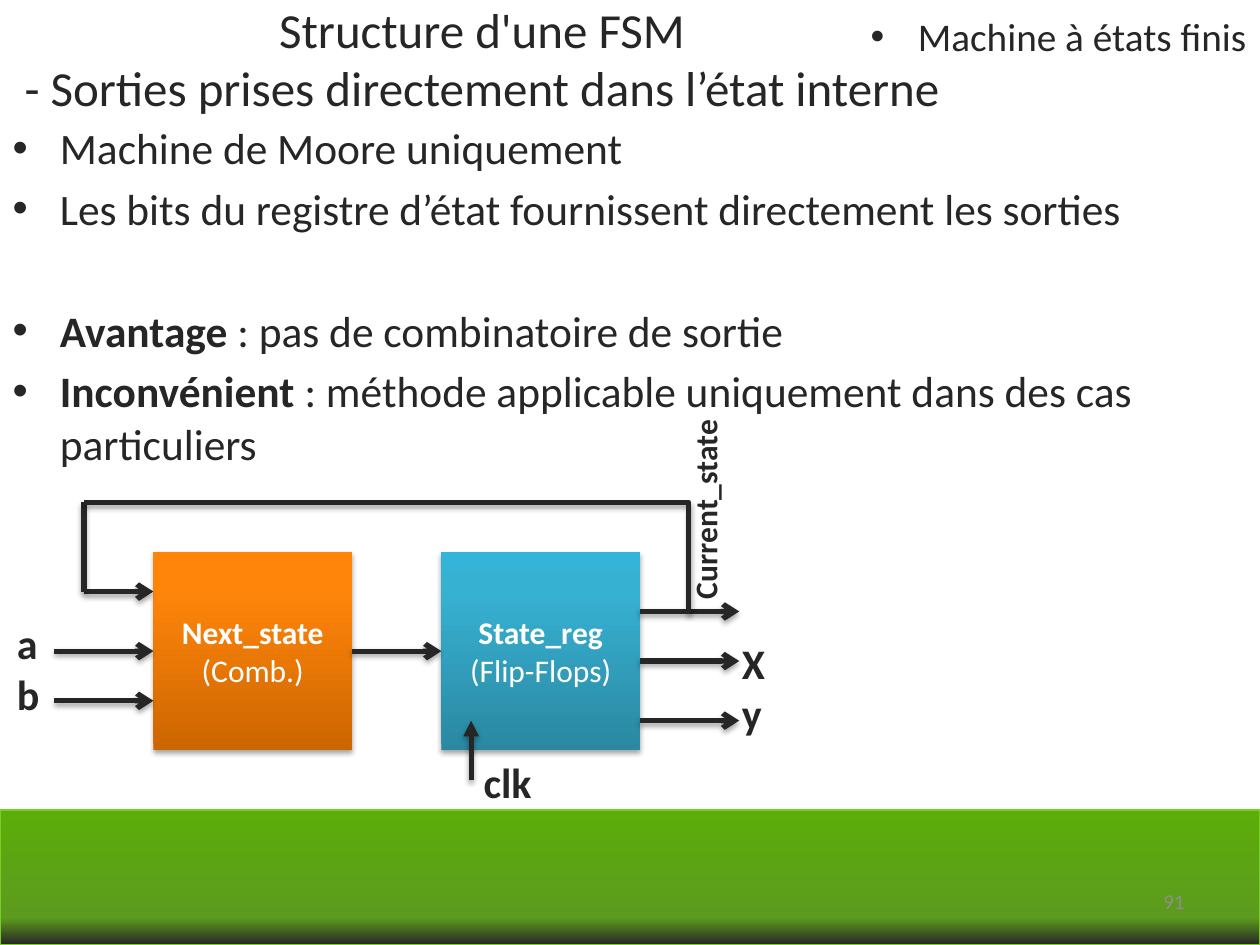
"""Builds a slide on the structure of a Moore finite state machine."""
from copy import deepcopy

from pptx import Presentation
from pptx.dml.color import RGBColor
from pptx.enum.shapes import MSO_CONNECTOR, MSO_SHAPE
from pptx.enum.text import MSO_ANCHOR, MSO_AUTO_SIZE, PP_ALIGN
from pptx.oxml import parse_xml
from pptx.oxml.ns import nsdecls, qn
from pptx.util import Inches, Pt

RECTANGLE = MSO_SHAPE.RECTANGLE
STRAIGHT, ELBOW = MSO_CONNECTOR.STRAIGHT, MSO_CONNECTOR.ELBOW
TOP, MIDDLE = MSO_ANCHOR.TOP, MSO_ANCHOR.MIDDLE
LEFT, CENTER, RIGHT = PP_ALIGN.LEFT, PP_ALIGN.CENTER, PP_ALIGN.RIGHT
NO_FIT = MSO_AUTO_SIZE.NONE

FONT = "Calibri"
COLORS = {"ink": "262626", "number": "8E8E8E", "white": "FFFFFF",
          "footer_line": "78CF22", "shadow": "000000"}
GRADIENTS = {
    "footer": (90, ["5CAD0A", "5C9B1D", "262626"]),
    "register": (270, ["2A88A2", "37B1D2", "34B4D6"]),
    "logic": (270, ["CC6600", "FF850A", "FF850C"]),
}
STOPS = (0, 80, 100)

WIDTH, HEIGHT = 10, 7.5
UNIT, GRID_LEFT, GRID_TOP = 0.394, 0.43, 4.38
LOGIC_COL, REGISTER_COL, BLOCK_SIZE = 2, 7.8, 4
OUTPUT_COL = REGISTER_COL + BLOCK_SIZE
ARROW_LENGTH = 2
FEEDBACK_LEFT, FEEDBACK_RIGHT, FEEDBACK_ROW = 0.6, 12.8, -1

ADVICE = [
    [("Machine de Moore uniquement", False)],
    [("Les bits du registre d’état fournissent directement les sorties", False)],
    [("Avantage", True), (" : pas de combinatoire de sortie", False)],
    [("Inconvénient", True),
     (" : méthode applicable uniquement dans des cas particuliers", False)],
]


def grid_point(col, row):
    """Turns a grid column and row into a position on the slide."""
    return Inches(GRID_LEFT + col * UNIT), Inches(GRID_TOP + row * UNIT)


def grid_box(col, row, cols, rows):
    """Turns a grid cell range into left, top, width and height."""
    return (*grid_point(col, row), Inches(cols * UNIT), Inches(rows * UNIT))


def inch_box(*lengths):
    """Converts lengths in inches."""
    return [Inches(length) for length in lengths]


def add_text(paragraph, text, size, color="ink", bold=False):
    """Adds one formatted run."""
    run = paragraph.add_run()
    run.text = text
    run.font.name, run.font.size, run.font.bold = FONT, Pt(size), bold
    run.font.color.rgb = RGBColor.from_string(COLORS[color])
    return run


def fill_frame(frame, lines, size, color="ink", align=None, anchor=TOP):
    """Writes lines of (text, bold) runs as paragraphs."""
    frame.word_wrap, frame.auto_size = True, NO_FIT
    frame.vertical_anchor = anchor
    for index, runs in enumerate(lines):
        paragraph = frame.add_paragraph() if index else frame.paragraphs[0]
        paragraph.alignment = align
        for text, bold in runs:
            add_text(paragraph, text, size, color, bold)


def add_shadow(shape):
    """Gives a shape or connector a soft shadow below it."""
    shape._element.spPr.append(parse_xml(
        f'<a:effectLst {nsdecls("a")}><a:outerShdw blurRad="39400" dist="22900" '
        f'dir="5400000" rotWithShape="0"><a:srgbClr val="{COLORS["shadow"]}">'
        '<a:alpha val="35000"/></a:srgbClr></a:outerShdw></a:effectLst>'))


def add_panel(slide, box, gradient):
    """Adds a rectangle with a three-stop gradient and no outline."""
    panel = slide.shapes.add_shape(RECTANGLE, *box)
    angle, colors = GRADIENTS[gradient]
    stops = "".join(f'<a:gs pos="{stop * 1000}"><a:srgbClr val="{color}"/></a:gs>'
                    for stop, color in zip(STOPS, colors))
    panel._element.spPr.insert(2, parse_xml(
        f'<a:gradFill {nsdecls("a")} rotWithShape="1"><a:gsLst>{stops}</a:gsLst>'
        f'<a:lin ang="{angle * 60000}" scaled="0"/></a:gradFill>'))
    panel.line.fill.background()
    add_shadow(panel)
    return panel


def add_block(slide, col, gradient, name, detail):
    """Adds a labelled block of the machine."""
    block = add_panel(slide, grid_box(col, 0, BLOCK_SIZE, BLOCK_SIZE), gradient)
    fill_frame(block.text_frame, [[(name, True)], [(detail, False)]],
               18, "white", CENTER, MIDDLE)


def add_wire(slide, start, end, head=None, kind=STRAIGHT):
    """Connects two grid points, with an optional arrowhead at the end."""
    wire = slide.shapes.add_connector(kind, *grid_point(*start), *grid_point(*end))
    wire.line.width = Pt(3)
    wire.line.color.rgb = RGBColor.from_string(COLORS["ink"])
    if head:
        wire.line._ln.append(parse_xml(f'<a:tailEnd {nsdecls("a")} type="{head}"/>'))
    add_shadow(wire)
    return wire


def add_signals(slide, box, names, size=24, rotation=0):
    """Adds bold signal names, one per line."""
    label = slide.shapes.add_textbox(*box)
    label.rotation = rotation
    fill_frame(label.text_frame, [[(name, True)] for name in names], size, align=LEFT)


def place(placeholder, box):
    """Moves a placeholder."""
    placeholder.left, placeholder.top, placeholder.width, placeholder.height = box


def add_heading(slide):
    """Writes the two-line title."""
    title = slide.shapes.title
    place(title, inch_box(0, 0, 7.65, 0.92))
    fill_frame(title.text_frame, [[("Structure d'une FSM", False)]],
               28, align=CENTER, anchor=MIDDLE)
    paragraph = title.text_frame.paragraphs[0]
    paragraph.add_line_break()
    subtitle = add_text(paragraph, "- Sorties prises directement dans l’état interne", 28)
    paragraph._p.find(qn("a:br")).append(deepcopy(subtitle._r.rPr))


def add_lists(slide):
    """Writes the advice list and the topic in the corner."""
    advice, topic = list(slide.placeholders)[1:]
    place(advice, inch_box(0, 0.91, 9.45, 2.84))
    fill_frame(advice.text_frame, ADVICE, 24.8)
    advice.text_frame.paragraphs[2].space_before = Pt(40)
    place(topic, inch_box(6.81, 0.05, 3.19, 0.6))
    fill_frame(topic.text_frame, [[("Machine à états finis", False)]], 22.4)


def add_footer(slide):
    """Adds the bottom band with the page number."""
    band_height = HEIGHT / 7
    band = add_panel(slide, inch_box(0, HEIGHT - band_height, WIDTH, band_height), "footer")
    band.line.color.rgb = RGBColor.from_string(COLORS["footer_line"])
    band.line.width = Pt(0.75)
    number = slide.shapes.add_textbox(*inch_box(7.17, 6.95, 2.33, 0.4))
    fill_frame(number.text_frame, [[("91", False)]], 12, "number", RIGHT, MIDDLE)


def add_feedback(slide):
    """Loops the current state back to the next-state logic."""
    corner = (FEEDBACK_LEFT, FEEDBACK_ROW)
    add_wire(slide, (FEEDBACK_LEFT, 0.8), (LOGIC_COL, 0.8), "arrow")
    add_wire(slide, (FEEDBACK_LEFT, 0.8), corner)
    loop = add_wire(slide, corner, (FEEDBACK_RIGHT, 1.2), kind=ELBOW)
    loop._element.spPr.prstGeom.get_or_add_avLst().append(parse_xml(
        f'<a:gd {nsdecls("a")} name="adj1" fmla="val 99800"/>'))
    add_signals(slide, grid_box(10.7, -1.5, 4.6, 0.8), ["Current_state"], 18, 270)


def add_machine(slide):
    """Draws the blocks, their wires and their signals."""
    add_block(slide, REGISTER_COL, "register", "State_reg", "(Flip-Flops)")
    add_block(slide, LOGIC_COL, "logic", "Next_state", "(Comb.)")
    for row in (2, 3):
        add_wire(slide, (0, row), (LOGIC_COL, row), "arrow")
    for row in (1.2, 2.2, 3.4):
        add_wire(slide, (OUTPUT_COL, row), (OUTPUT_COL + ARROW_LENGTH, row), "arrow")
    add_wire(slide, (LOGIC_COL + BLOCK_SIZE, 2), (REGISTER_COL, 2), "arrow")
    add_wire(slide, (8.4, 4.6), (8.4, 3.4), "triangle")
    add_feedback(slide)
    add_signals(slide, grid_box(-1, 1.2, 4, 2.2), ["a", "b"])
    add_signals(slide, grid_box(8.4, 4, 4, 1.4), ["clk"])
    add_signals(slide, grid_box(13.6, 1.6, 1.2, 2.4), ["X", "y"])


def main():
    """Builds and saves the slide."""
    deck = Presentation()
    deck.slide_width, deck.slide_height = Inches(WIDTH), Inches(HEIGHT)
    slide = deck.slides.add_slide(deck.slide_layouts[3])
    add_footer(slide)
    add_lists(slide)
    add_heading(slide)
    add_machine(slide)
    deck.save("out.pptx")


if __name__ == "__main__":
    main()
